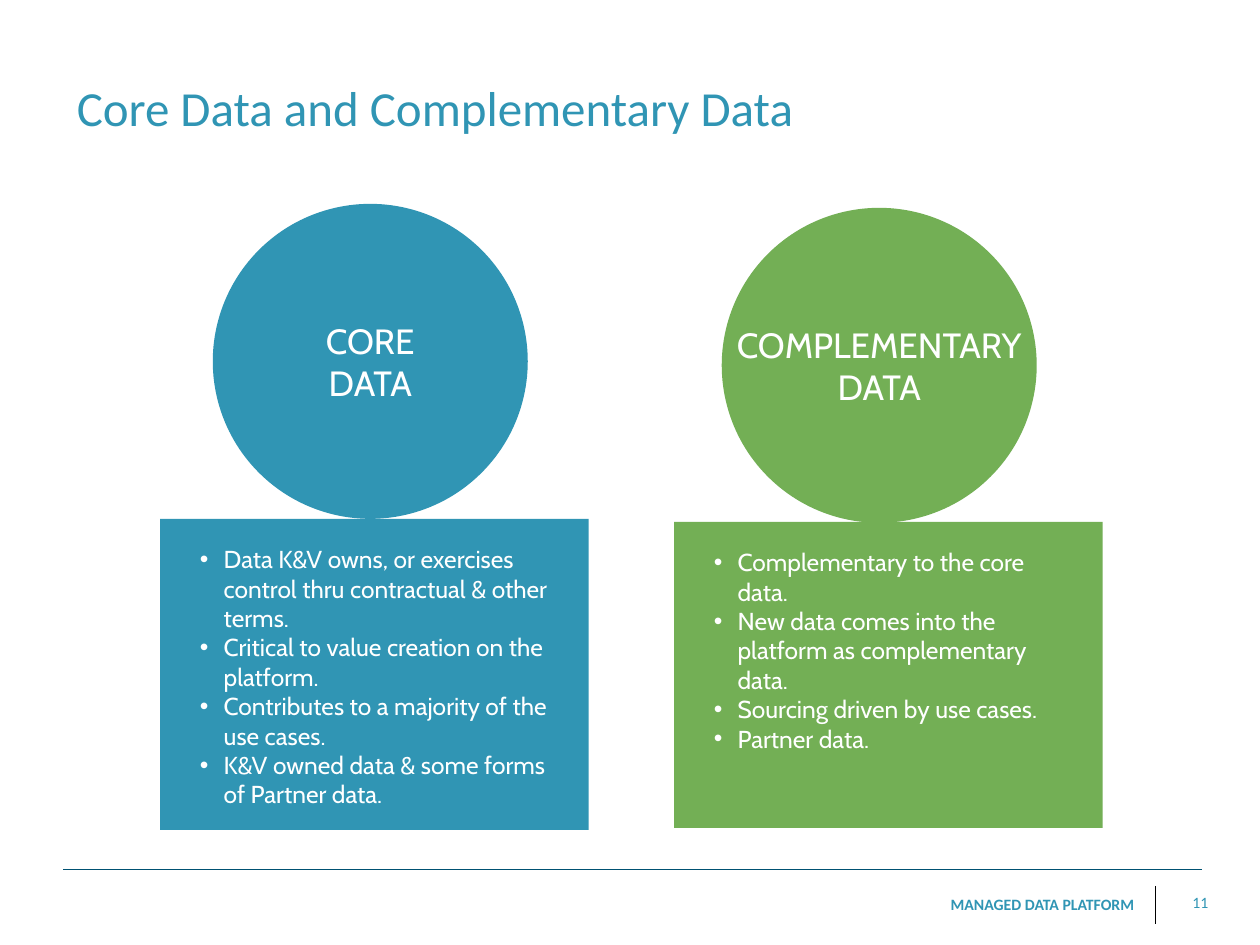
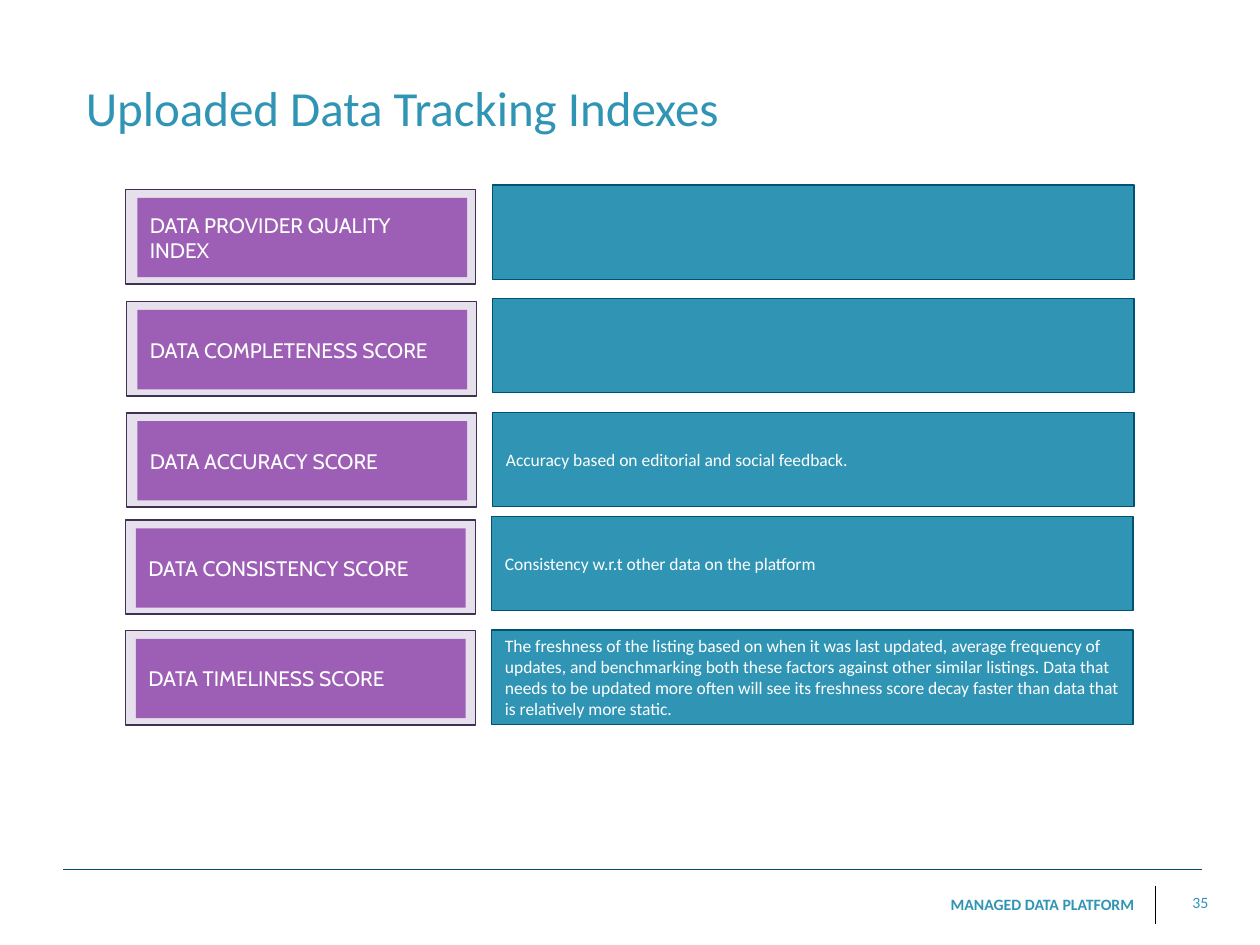
from dataclasses import dataclass

from lxml import etree
from pptx import Presentation
from pptx.dml.color import RGBColor
from pptx.enum.shapes import MSO_CONNECTOR, MSO_SHAPE
from pptx.enum.text import MSO_ANCHOR, PP_ALIGN
from pptx.oxml.ns import qn
from pptx.shapes.autoshape import Shape
from pptx.slide import Slide
from pptx.util import Cm, Pt

RECTANGLE = MSO_SHAPE.RECTANGLE
OVAL = MSO_SHAPE.OVAL
STRAIGHT = MSO_CONNECTOR.STRAIGHT
LEFT, CENTER, RIGHT = PP_ALIGN.LEFT, PP_ALIGN.CENTER, PP_ALIGN.RIGHT
TOP, MIDDLE = MSO_ANCHOR.TOP, MSO_ANCHOR.MIDDLE

TEAL = "3095B4"
DEEP_TEAL = "005172"
GREEN = "73AF55"
PURPLE = "9C5FB5"
LILAC = "E6E0EC"
DARK_PURPLE = "403152"
WHITE = "FFFFFF"
BLACK = "000000"
BODY_FONT = "Calibri"
ACCENT_FONT = "Cabin"

CIRCLE_SIZE = 6.35
CARD_WIDTH = 8.64
ROW_HEIGHT = 1.9
FRAME_WIDTH = 7.06
LABEL_WIDTH, LABEL_HEIGHT = 6.65, 1.6
DETAIL_WIDTH = 12.93


@dataclass(frozen=True)
class Box:
    left: float
    top: float
    width: float
    height: float


@dataclass(frozen=True)
class DataKind:
    name: str
    color: str
    circle_left: float
    circle_top: float
    name_width: float
    card: Box
    points: tuple[str, ...]


@dataclass(frozen=True)
class Score:
    name: str
    detail: str
    frame_left: float
    frame_top: float
    label_left: float
    detail_left: float
    detail_top: float


DATA_KINDS = (
    DataKind(
        "CORE DATA", TEAL, 4.29, 4.11, 3.8, Box(3.23, 10.46, CARD_WIDTH, 6.27),
        (
            "Data K&V owns, or exercises control thru contractual & other terms.",
            "Critical to value creation on the platform.",
            "Contributes to a majority of the use cases.",
            "K&V owned data & some forms of Partner data.",
        ),
    ),
    DataKind(
        "COMPLEMENTARY DATA", GREEN, 14.55, 4.19, 6.12, Box(13.59, 10.52, CARD_WIDTH, 6.17),
        (
            "Complementary to the core data.",
            "New data comes into the platform as complementary data.",
            "Sourcing driven by use cases.",
            "Partner data.",
        ),
    ),
)

SCORES = (
    Score("DATA PROVIDER QUALITY INDEX", "", 2.53, 3.82, 2.77, 9.93, 3.73),
    Score("DATA COMPLETENESS SCORE", "", 2.55, 6.08, 2.77, 9.93, 6.02),
    Score("DATA ACCURACY SCORE", "Accuracy based on editorial and social feedback.",
          2.55, 8.32, 2.77, 9.93, 8.31),
    Score("DATA CONSISTENCY SCORE", "Consistency w.r.t other data on the platform",
          2.53, 10.48, 2.74, 9.91, 10.41),
    Score("DATA TIMELINESS SCORE",
          "The freshness of the listing based on when it was last updated, average "
          "frequency of updates, and benchmarking both these factors against other "
          "similar listings. Data that needs to be updated more often will see its "
          "freshness score decay faster than data that is relatively more static.",
          2.53, 12.71, 2.74, 9.91, 12.7),
)


def rgb(color: str) -> RGBColor:
    return RGBColor.from_string(color)


def add_bullet(paragraph) -> None:
    paragraph.level = 1
    properties = paragraph._p.get_or_add_pPr()
    properties.set("marL", str(Cm(0.64)))
    properties.set("indent", str(Cm(-0.48)))
    etree.SubElement(properties, qn("a:buFont")).set("typeface", "Arial")
    etree.SubElement(properties, qn("a:buChar")).set("char", "•")


def write(shape: Shape, *paragraphs: str, size: float, color: str = WHITE,
          font: str = BODY_FONT, bold: bool = False, align: PP_ALIGN = LEFT,
          anchor: MSO_ANCHOR = TOP, inset_x: float = 0.13, inset_y: float = 0.13,
          wrap: bool = True, bullets: bool = False) -> None:
    frame = shape.text_frame
    frame.word_wrap = wrap
    frame.vertical_anchor = anchor
    frame.margin_left = frame.margin_right = Cm(inset_x)
    frame.margin_top = frame.margin_bottom = Cm(inset_y)
    for index, text in enumerate(paragraphs):
        paragraph = frame.add_paragraph() if index else frame.paragraphs[0]
        paragraph.alignment = align
        if bullets:
            add_bullet(paragraph)
        run = paragraph.add_run()
        run.text = text
        run.font.size = Pt(size)
        run.font.name = font
        run.font.bold = bold
        run.font.color.rgb = rgb(color)


def add_text_box(slide: Slide, box: Box) -> Shape:
    return slide.shapes.add_textbox(
        Cm(box.left), Cm(box.top), Cm(box.width), Cm(box.height))


def add_block(slide: Slide, box: Box, fill: str, kind: MSO_SHAPE = RECTANGLE,
              outline: str = "", outline_width: float = 0.75) -> Shape:
    block = slide.shapes.add_shape(
        kind, Cm(box.left), Cm(box.top), Cm(box.width), Cm(box.height))
    block.shadow.inherit = False
    block.fill.solid()
    block.fill.fore_color.rgb = rgb(fill)
    if outline:
        block.line.color.rgb = rgb(outline)
        block.line.width = Pt(outline_width)
    else:
        block.line.fill.background()
    return block


def add_rule(slide: Slide, x1: float, y1: float, x2: float, y2: float, color: str) -> None:
    rule = slide.shapes.add_connector(STRAIGHT, Cm(x1), Cm(y1), Cm(x2), Cm(y2))
    rule.line.color.rgb = rgb(color)
    rule.line.width = Pt(0.5)
    etree.SubElement(rule._element.spPr, qn("a:effectLst"))


def add_page(deck: Presentation, title: str, title_left: float, number: int) -> Slide:
    slide = deck.slides.add_slide(deck.slide_layouts[6])
    add_rule(slide, 1.27, 17.52, 24.23, 17.52, DEEP_TEAL)
    add_rule(slide, 23.29, 17.86, 23.29, 18.62, BLACK)
    write(add_text_box(slide, Box(15.37, 17.91, 7.62, 0.64)), "MANAGED DATA PLATFORM",
          size=9, color=TEAL, bold=True, align=RIGHT)
    write(add_text_box(slide, Box(23.87, 17.86, 0.62, 0.64)), str(number),
          size=9, color=TEAL, align=RIGHT, wrap=False)
    write(add_text_box(slide, Box(title_left, 0.33, 22.89, 3.66)), title,
          size=28, color=TEAL, anchor=MIDDLE)
    return slide


def add_data_kind(slide: Slide, kind: DataKind) -> None:
    circle = Box(kind.circle_left, kind.circle_top, CIRCLE_SIZE, CIRCLE_SIZE)
    add_block(slide, circle, kind.color, OVAL)
    name_left = kind.circle_left + (CIRCLE_SIZE - kind.name_width) / 2
    name_box = Box(name_left, kind.circle_top + 2.21, kind.name_width, 1.88)
    write(add_text_box(slide, name_box), kind.name, size=20, font=ACCENT_FONT, align=CENTER)
    write(add_block(slide, kind.card, kind.color), *kind.points, size=14,
          font=ACCENT_FONT, inset_x=0.64, inset_y=0.51, bullets=True)


def add_score(slide: Slide, score: Score) -> None:
    add_block(slide, Box(score.frame_left, score.frame_top, FRAME_WIDTH, ROW_HEIGHT),
              LILAC, outline=DARK_PURPLE, outline_width=1)
    label_top = score.frame_top + 0.17
    label = add_block(slide, Box(score.label_left, label_top, LABEL_WIDTH, LABEL_HEIGHT), PURPLE)
    write(label, score.name, size=12, font=ACCENT_FONT, anchor=MIDDLE, inset_x=0.25)
    detail = add_block(slide, Box(score.detail_left, score.detail_top, DETAIL_WIDTH, ROW_HEIGHT),
                       TEAL, outline=DEEP_TEAL)
    if score.detail:
        write(detail, score.detail, size=10, anchor=MIDDLE, inset_x=0.27, inset_y=0)


def main() -> None:
    deck = Presentation()
    deck.slide_width, deck.slide_height = Cm(25.4), Cm(19.05)

    data_kinds_page = add_page(deck, "Core Data and Complementary Data", 1.42, 11)
    for kind in DATA_KINDS:
        add_data_kind(data_kinds_page, kind)

    scores_page = add_page(deck, "Uploaded Data Tracking Indexes", 1.6, 35)
    for score in SCORES:
        add_score(scores_page, score)

    deck.save("out.pptx")


if __name__ == "__main__":
    main()
